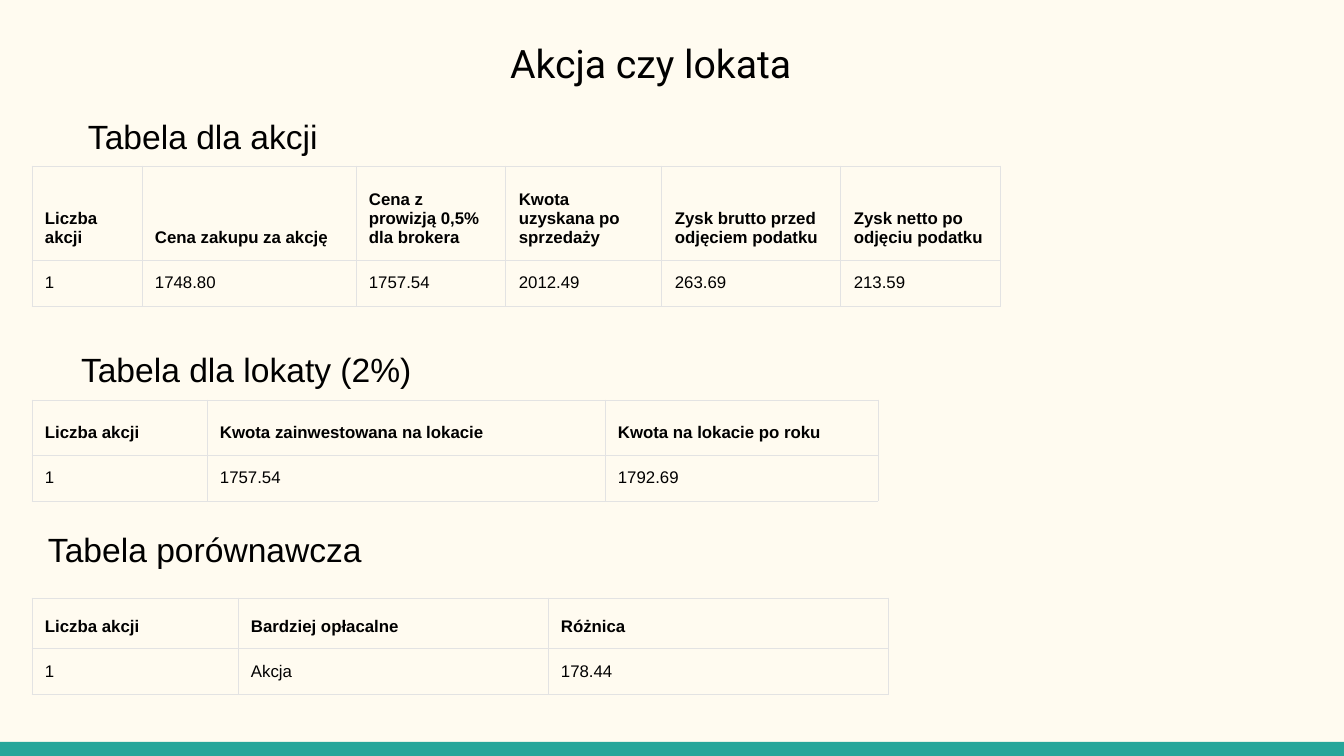
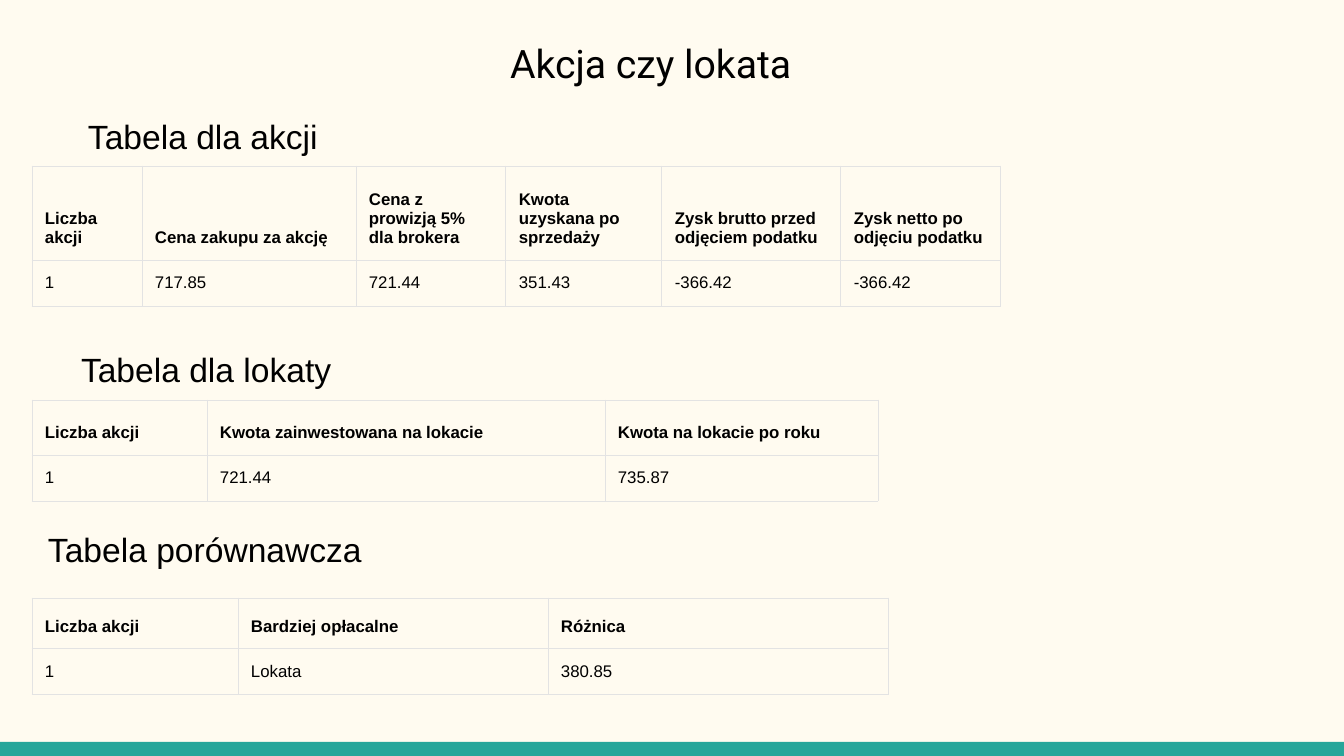
from lxml.etree import SubElement as add_element
from pptx import Presentation
from pptx.dml.color import RGBColor
from pptx.enum.shapes import MSO_SHAPE as Shape
from pptx.enum.text import MSO_ANCHOR as Anchor, MSO_AUTO_SIZE as AutoSize, PP_ALIGN as Align
from pptx.oxml.ns import qn
from pptx.util import Emu, Pt

EMU_PER_PX = 914400 / 134.4
WIDTH, HEIGHT = 1344, 756
INSET = 13
TABLE_LEFT = 32
VALUE_ROW = 46

CREAM, TEAL, BLACK, BORDER = "FFFBF0", "26A69A", "000000", "E3E3E3"
TITLE_FONT, BODY_FONT = "Roboto", "Arial"
TITLE = "Akcja czy lokata"

# Heading position, table top, header row height and column widths
SECTIONS = [
    {"heading_at": (75, 103), "top": 166, "header": 94,
     "columns": [110, 214, 150, 156, 179, 160]},
    {"heading_at": (68, 336), "top": 400, "header": 55,
     "columns": [175, 398, 273]},
    {"heading_at": (35, 516), "top": 598, "header": 51,
     "columns": [206, 310, 340]},
]


def px(length):
    return Emu(round(length * EMU_PER_PX))


def color(value):
    return RGBColor.from_string(value)


def add_span(para, text, size, font=BODY_FONT, bold=False):
    span = para.add_run()
    span.text = text
    span.font.size = Pt(size)
    span.font.name = font
    span.font.bold = bold
    span.font.color.rgb = color(BLACK)


def place(box, left, top, width, height):
    box.left, box.top = px(left), px(top)
    box.width, box.height = px(width), px(height)


def set_insets(target):
    """Give a text frame or a table cell the same margin on each side."""
    target.margin_left = target.margin_right = px(INSET)
    target.margin_top = target.margin_bottom = px(INSET)


def fill_frame(frame, text, size, font):
    frame.word_wrap = True
    frame.auto_size = AutoSize.NONE
    frame.vertical_anchor = Anchor.TOP
    set_insets(frame)
    para = frame.paragraphs[0]
    para.alignment = Align.LEFT
    add_span(para, text, size, font)


def add_title(page, text):
    title = page.shapes.title
    place(title, 497, 26, 708, 66)
    fill_frame(title.text_frame, text, 21, TITLE_FONT)


def add_heading(page, text, left, top):
    box = page.shapes.add_textbox(px(left), px(top), px(440), px(67))
    fill_frame(box.text_frame, text, 18, BODY_FONT)


def add_borders(cell):
    properties = cell._tc.get_or_add_tcPr()
    for side in ("a:lnL", "a:lnR", "a:lnT", "a:lnB"):
        line = add_element(properties, qn(side), w=str(Pt(0.5)))
        fill = add_element(line, qn("a:solidFill"))
        add_element(fill, qn("a:srgbClr"), val=BORDER)


def fill_cell(cell, text, is_header):
    add_borders(cell)
    cell.fill.background()
    set_insets(cell)
    cell.vertical_anchor = Anchor.BOTTOM if is_header else Anchor.MIDDLE
    add_span(cell.text_frame.paragraphs[0], text, 9, bold=is_header)


def add_grid(page, section, rows):
    columns = section["columns"]
    heights = [section["header"], VALUE_ROW]
    table = page.shapes.add_table(
        len(rows), len(columns), px(TABLE_LEFT), px(section["top"]),
        px(sum(columns)), px(sum(heights))).table
    table.first_row = table.horz_banding = False
    for column, width in zip(table.columns, columns):
        column.width = px(width)
    for row_index, (row, height, texts) in enumerate(zip(table.rows, heights, rows)):
        row.height = px(height)
        for cell, text in zip(row.cells, texts):
            fill_cell(cell, text, row_index == 0)


def add_master_band(deck, page):
    """Draw the footer band and move it to the slide master."""
    band = page.shapes.add_shape(Shape.RECTANGLE, 0, px(742), px(WIDTH), px(HEIGHT - 742))
    band.shadow.inherit = False
    band.fill.solid()
    band.fill.fore_color.rgb = color(TEAL)
    band.line.fill.background()
    deck.slide_master.shapes.element.append(band.element)


def add_comparison(deck, fee, deposit_heading, stock, deposit, result):
    page = deck.slides.add_slide(deck.slide_layouts[5])
    add_title(page, TITLE)
    headings = ["Tabela dla akcji", deposit_heading, "Tabela porównawcza"]
    grids = [
        [["Liczba akcji", "Cena zakupu za akcję", f"Cena z prowizją {fee} dla brokera",
          "Kwota uzyskana po sprzedaży", "Zysk brutto przed odjęciem podatku",
          "Zysk netto po odjęciu podatku"], ["1", *stock]],
        [["Liczba akcji", "Kwota zainwestowana na lokacie", "Kwota na lokacie po roku"],
         ["1", *deposit]],
        [["Liczba akcji", "Bardziej opłacalne", "Różnica"], ["1", *result]],
    ]
    for section, heading, rows in zip(SECTIONS, headings, grids):
        add_heading(page, heading, *section["heading_at"])
        add_grid(page, section, rows)
    return page


def main():
    deck = Presentation()
    deck.slide_width, deck.slide_height = px(WIDTH), px(HEIGHT)

    # Shared background
    background = deck.slide_master.background.fill
    background.solid()
    background.fore_color.rgb = color(CREAM)

    # Stock wins
    page = add_comparison(
        deck, "0,5%", "Tabela dla lokaty (2%)",
        ["1748.80", "1757.54", "2012.49", "263.69", "213.59"],
        ["1757.54", "1792.69"], ["Akcja", "178.44"])
    add_master_band(deck, page)

    # Deposit wins
    add_comparison(
        deck, "5%", "Tabela dla lokaty",
        ["717.85", "721.44", "351.43", "-366.42", "-366.42"],
        ["721.44", "735.87"], ["Lokata", "380.85"])

    deck.save("out.pptx")


if __name__ == "__main__":
    main()
